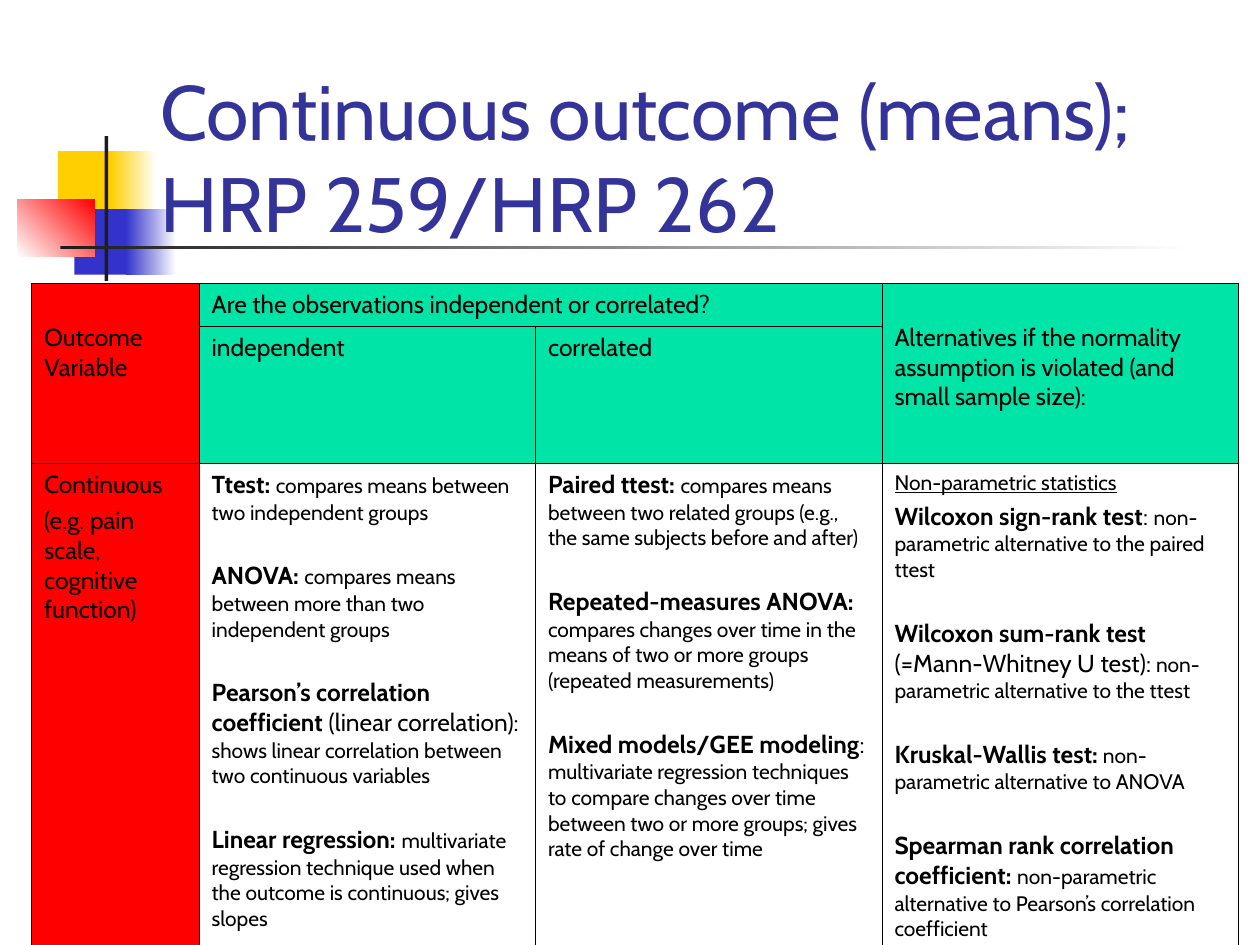
from dataclasses import dataclass

import lxml.etree
import pptx
import pptx.dml.color
import pptx.enum.shapes
import pptx.enum.text
import pptx.oxml.ns
import pptx.util

Inches = pptx.util.Inches
Pt = pptx.util.Pt


@dataclass(frozen=True)
class Theme:
    """Fonts, colours and type sizes of the slide."""
    font: str = "Cabin"
    title: str = "333399"
    text: str = "000000"
    white: str = "FFFFFF"
    yellow: str = "FFCF01"
    blue: str = "3333CC"
    red: str = "FF0000"
    dark: str = "1C1C1C"
    green: str = "00E4A8"
    title_size: float = 44
    label_size: float = 14
    detail_size: float = 12
    line_gap: float = 3.5
    topic_gap: float = 20.5
    outer_border: float = 1.08
    inner_border: float = 0.45


THEME = Theme()

DECORATION = [
    (0.46, 1.2, 0.48, 0.52, [THEME.yellow], 0),
    (0.88, 1.2, 0.36, 0.52, [THEME.yellow, THEME.white], 0),
    (0.59, 1.66, 0.46, 0.52, [THEME.blue], 0),
    (1, 1.66, 0.4, 0.52, [THEME.blue, THEME.white], 0),
    (0.14, 1.58, 0.61, 0.46, [THEME.white, THEME.red], 45),
    (0.83, 1.08, 0.03, 1.15, [THEME.dark], 0),
    (0.48, 1.95, 9, 0.03, [THEME.dark, THEME.white], 0),
]

COLUMN_WIDTHS = [1.33, 2.67, 2.75, 2.83]
ROW_HEIGHTS = [0.34, 1.09, 4.35]
MERGES = [((0, 0), (1, 0)), ((0, 1), (0, 2)), ((0, 3), (1, 3))]
LOWERED_MARGIN = 0.31

HEADERS = {
    (0, 0): "Outcome Variable",
    (0, 1): "Are the observations independent or correlated?",
    (0, 3): "Alternatives if the normality assumption is violated (and small sample size):",
    (1, 1): "independent",
    (1, 2): "correlated",
}

BODY = [
    [
        [("Continuous", "plain")],
        [("(e.g. pain scale, cognitive function)", "plain")],
    ],
    [
        [("Ttest: ", "strong"),
         ("compares means between two independent groups", "detail")],
        [("ANOVA: ", "strong"),
         ("compares means between more than two independent groups", "detail")],
        [("Pearson’s correlation coefficient", "strong"),
         (" (linear correlation): ", "plain"),
         ("shows linear correlation between two continuous variables", "detail")],
        [("Linear regression: ", "strong"),
         ("multivariate regression technique used when the outcome is continuous; "
          "gives slopes", "detail")],
    ],
    [
        [("Paired ttest: ", "strong"),
         ("compares means between two related groups (e.g., the same subjects "
          "before and after)", "detail")],
        [("Repeated-measures ANOVA: ", "strong"),
         ("compares changes over time in the means of two or more groups "
          "(repeated measurements)", "detail")],
        [("Mixed models/GEE modeling", "strong"),
         (": ", "plain"),
         ("multivariate regression techniques to compare changes over time between "
          "two or more groups; gives rate of change over time", "detail")],
    ],
    [
        [("Non-parametric statistics", "heading")],
        [("Wilcoxon sign-rank test", "strong"),
         (": ", "plain"),
         ("non-parametric alternative to the paired ttest", "detail")],
        [("Wilcoxon sum-rank test", "strong"),
         (" (=Mann-Whitney U test):", "plain"),
         (" non-parametric alternative to the ttest", "detail")],
        [("Kruskal-Wallis test:", "strong"),
         (" non-parametric alternative to ANOVA", "detail")],
        [("Spearman rank correlation coefficient: ", "strong"),
         ("non-parametric alternative to Pearson’s correlation coefficient", "detail")],
    ],
]


def rgb(value):
    """Return a colour object for a hex value."""
    return pptx.dml.color.RGBColor.from_string(value)


def style_font(font, size, color):
    """Apply the theme font with a size and a colour."""
    font.name = THEME.font
    font.size = Pt(size)
    font.color.rgb = rgb(color)


def add_bar(slide, left, top, width, height, colors, angle):
    """Add a borderless rectangle with a solid or gradient fill."""
    shape = slide.shapes.add_shape(
        pptx.enum.shapes.MSO_SHAPE.RECTANGLE,
        Inches(left), Inches(top), Inches(width), Inches(height))
    shape.shadow.inherit = False
    shape.line.fill.background()
    if len(colors) == 1:
        shape.fill.solid()
        shape.fill.fore_color.rgb = rgb(colors[0])
        return
    shape.fill.gradient()
    shape.fill.gradient_angle = angle
    for stop, color in zip(shape.fill.gradient_stops, colors):
        stop.color.rgb = rgb(color)


def set_title(slide, text):
    """Place and format the title in front of the decoration."""
    title = slide.shapes.title
    title.left, title.top = Inches(1.17), Inches(0.42)
    title.width, title.height = Inches(8.52), Inches(1.6)
    frame = title.text_frame
    frame.text = text
    frame.word_wrap = True
    frame.auto_size = pptx.enum.text.MSO_AUTO_SIZE.NONE
    frame.vertical_anchor = pptx.enum.text.MSO_ANCHOR.BOTTOM
    paragraph = frame.paragraphs[0]
    paragraph.alignment = pptx.enum.text.PP_ALIGN.LEFT
    style_font(paragraph.runs[0].font, THEME.title_size, THEME.title)
    title.element.getparent().append(title.element)


def set_borders(cell, widths):
    """Draw the left, right, top and bottom borders of a cell."""
    properties = cell._tc.get_or_add_tcPr()
    for index, (side, width) in enumerate(zip("LRTB", widths)):
        line = lxml.etree.Element(pptx.oxml.ns.qn(f"a:ln{side}"), w=str(Pt(width)))
        fill = lxml.etree.SubElement(line, pptx.oxml.ns.qn("a:solidFill"))
        lxml.etree.SubElement(fill, pptx.oxml.ns.qn("a:srgbClr"), val=THEME.text)
        properties.insert(index, line)


def style_cell(cell, row, column):
    """Set the fill and borders of a cell from its place in the grid."""
    last_row, last_column = len(ROW_HEIGHTS) - 1, len(COLUMN_WIDTHS) - 1
    if column and row == last_row:
        cell.fill.background()
    else:
        cell.fill.solid()
        cell.fill.fore_color.rgb = rgb(THEME.green if column else THEME.red)
    on_edge = [column == 0, column == last_column, row == 0, row == last_row]
    set_borders(cell, [THEME.outer_border if edge else THEME.inner_border
                       for edge in on_edge])


def fill_cell(cell, paragraphs):
    """Write paragraphs of styled runs, with a wide gap between topics."""
    frame = cell.text_frame
    previous_kind = None
    for index, runs in enumerate(paragraphs):
        paragraph = frame.add_paragraph() if index else frame.paragraphs[0]
        if index:
            topic_ended = previous_kind == "detail"
            paragraph.space_before = Pt(THEME.topic_gap if topic_ended else THEME.line_gap)
        for text, kind in runs:
            run = paragraph.add_run()
            run.text = text
            small = kind in ("detail", "heading")
            style_font(run.font, THEME.detail_size if small else THEME.label_size, THEME.text)
            run.font.bold = kind == "strong"
            run.font.underline = kind == "heading"
            previous_kind = kind


def add_test_table(slide):
    """Add the table of statistical tests."""
    table = slide.shapes.add_table(
        len(ROW_HEIGHTS), len(COLUMN_WIDTHS), Inches(0.25), Inches(2.25),
        Inches(sum(COLUMN_WIDTHS)), Inches(sum(ROW_HEIGHTS))).table
    table.first_row = table.horz_banding = False
    for column, width in zip(table.columns, COLUMN_WIDTHS):
        column.width = Inches(width)
    for row, height in zip(table.rows, ROW_HEIGHTS):
        row.height = Inches(height)
    for row in range(len(ROW_HEIGHTS)):
        for column in range(len(COLUMN_WIDTHS)):
            style_cell(table.cell(row, column), row, column)
    for start, end in MERGES:
        table.cell(*start).merge(table.cell(*end))
    for place, text in HEADERS.items():
        cell = table.cell(*place)
        fill_cell(cell, [[(text, "plain")]])
        if cell.span_height > 1:
            cell.margin_top = Inches(LOWERED_MARGIN)
    for column, paragraphs in enumerate(BODY):
        fill_cell(table.cell(2, column), paragraphs)


def main():
    """Build and save the presentation."""
    presentation = pptx.Presentation()
    presentation.slide_width, presentation.slide_height = Inches(10), Inches(7.5)
    slide = presentation.slides.add_slide(presentation.slide_layouts[5])
    for bar in DECORATION:
        add_bar(slide, *bar)
    set_title(slide, "Continuous outcome (means); HRP 259/HRP 262")
    add_test_table(slide)
    presentation.save("out.pptx")


if __name__ == "__main__":
    main()
